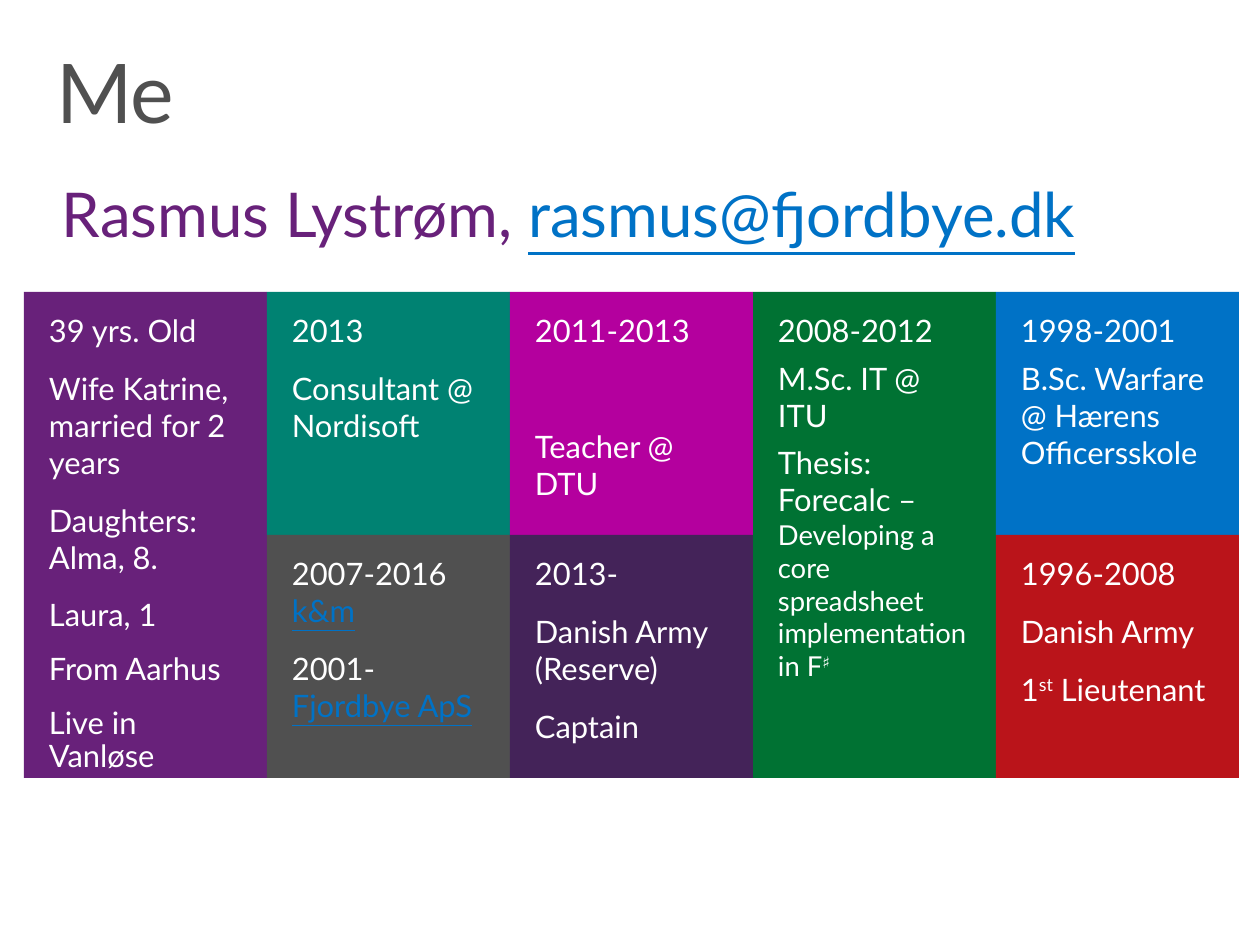
"""Build the "Me" slide: a title, a contact line and a mosaic of career tiles."""
from pptx import Presentation
from pptx.dml.color import RGBColor
from pptx.enum.shapes import MSO_SHAPE
from pptx.enum.text import MSO_ANCHOR, MSO_AUTO_SIZE, PP_ALIGN
from pptx.util import Pt

RECT = MSO_SHAPE.RECTANGLE
TOP = MSO_ANCHOR.TOP
LEFT = PP_ALIGN.LEFT
NO_FIT = MSO_AUTO_SIZE.NONE

PX = 7404
FONT = "Lato"
WHITE = RGBColor(0xFF, 0xFF, 0xFF)
GRAY = RGBColor(0x50, 0x50, 0x50)
PURPLE = RGBColor(0x68, 0x21, 0x7A)
BLUE = RGBColor(0x00, 0x72, 0xC6)
TEAL = RGBColor(0x00, 0x82, 0x72)
GREEN = RGBColor(0x00, 0x72, 0x33)
MAGENTA = RGBColor(0xB4, 0x00, 0x9E)
RED = RGBColor(0xBA, 0x14, 0x1A)
VIOLET = RGBColor(0x44, 0x23, 0x59)

TILE = 243
GRID_X, GRID_Y = 24, 292


def set_frame(tf, inset_x, inset_y):
    tf.word_wrap = True
    tf.auto_size = NO_FIT
    tf.vertical_anchor = TOP
    tf.margin_left = tf.margin_right = inset_x * PX
    tf.margin_top = tf.margin_bottom = inset_y * PX


def add_run(p, text, size, color, link=False, raised=False):
    r = p.add_run()
    r.text = text
    r.font.name = FONT
    r.font.size = Pt(size)
    r.font.color.rgb = BLUE if link else color
    if link:
        r.font.underline = True
    if raised:
        r.font._element.set("baseline", "30000")
    return r


prs = Presentation()
prs.slide_width, prs.slide_height = 1260 * PX, 945 * PX
s = prs.slides.add_slide(prs.slide_layouts[1])

title, body = s.placeholders
for sp, box, insets in ((title, (37, 40, 1186, 124), (20, 12)),
                        (body, (37, 164, 1136, 189), (25, 20))):
    sp.left, sp.top, sp.width, sp.height = (v * PX for v in box)
    set_frame(sp.text_frame, *insets)
    p = sp.text_frame.paragraphs[0]
    p.alignment = LEFT
    p.line_spacing = 0.9
    p.space_before = Pt(0)

r = add_run(title.text_frame.paragraphs[0], "Me", 48, GRAY)
r.font._element.set("spc", "-100")

p = body.text_frame.paragraphs[0]
pPr = p._p.get_or_add_pPr()
pPr.set("marL", "0")
pPr.set("indent", "0")
pPr.append(pPr.makeelement(
    "{http://schemas.openxmlformats.org/drawingml/2006/main}buNone", {}))
add_run(p, "Rasmus Lystrøm, ", 36, PURPLE)
add_run(p, "rasmus@fjordbye.dk", 36, PURPLE, link=True)

# Tile: column, row, rows spanned, fill, paragraphs.
# Paragraph: space before, space after, line spacing, runs (text, size, style).
NORMAL, TIGHT, FLAT = (6, 6, 1), (6, 6, 0.9), (0, 0, 1)
AFTER_GAP = (40, 6, 1)
LINK, RAISED = {"link": True}, {"raised": True}
BREAK = ("\n", 18, {})
tiles = [
    (0, 0, 2, PURPLE, [
        (NORMAL, [("39 yrs. Old", 18, {})]),
        (NORMAL, [("Wife Katrine,", 18, {}), BREAK,
                  ("married for 2 years", 18, {})]),
        (NORMAL, [("Daughters: Alma, 8.", 18, {})]),
        (NORMAL, [("Laura, 1", 18, {})]),
        (TIGHT, [("From Aarhus", 18, {})]),
        (TIGHT, [("Live in Vanløse", 18, {})])]),
    (1, 0, 1, TEAL, [
        (NORMAL, [("2013", 18, {})]),
        (NORMAL, [("Consultant @ Nordisoft", 18, {})])]),
    (3, 0, 2, GREEN, [
        (FLAT, [("2008-2012", 18, {})]),
        (NORMAL, [("M.Sc. IT @ ITU", 18, {})]),
        (FLAT, [("Thesis: Forecalc – ", 18, {}),
                ("Developing a core spreadsheet implementation in F", 16, {}),
                ("♯", 16, RAISED)])]),
    (2, 0, 1, MAGENTA, [
        (NORMAL, [("2011-2013", 18, {})]),
        (AFTER_GAP, [("Teacher @ DTU", 18, {})])]),
    (4, 0, 1, BLUE, [
        (FLAT, [("1998-2001", 18, {})]),
        (NORMAL, [("B.Sc. Warfare @ Hærens Officersskole", 18, {})])]),
    (1, 1, 1, GRAY, [
        (NORMAL, [("2007-2016", 18, {}), BREAK, ("k&m", 18, LINK)]),
        (NORMAL, [("2001-", 18, {}), BREAK, ("Fjordbye ApS", 18, LINK)])]),
    (4, 1, 1, RED, [
        (NORMAL, [("1996-2008", 18, {})]),
        (NORMAL, [("Danish Army", 18, {})]),
        (NORMAL, [("1", 18, {}), ("st", 18, RAISED),
                  (" Lieutenant", 18, {})])]),
    (2, 1, 1, VIOLET, [
        (NORMAL, [("2013-", 18, {})]),
        (NORMAL, [("Danish Army (Reserve)", 18, {})]),
        (NORMAL, [("Captain", 18, {})])]),
]

for col, row, span, fill, paragraphs in tiles:
    sp = s.shapes.add_shape(RECT, (GRID_X + col * TILE) * PX,
                            (GRID_Y + row * TILE) * PX,
                            TILE * PX, span * TILE * PX)
    sp.shadow.inherit = False
    sp.fill.solid()
    sp.fill.fore_color.rgb = fill
    sp.line.fill.background()
    tf = sp.text_frame
    set_frame(tf, 25, 20)
    for i, ((before, after, spacing), runs) in enumerate(paragraphs):
        p = tf.add_paragraph() if i else tf.paragraphs[0]
        p.alignment = LEFT
        p.space_before, p.space_after = Pt(before), Pt(after)
        p.line_spacing = float(spacing)
        for text, size, style in runs:
            if text == "\n":
                p.add_line_break()
            else:
                add_run(p, text, size, WHITE, **style)

prs.save("out.pptx")
